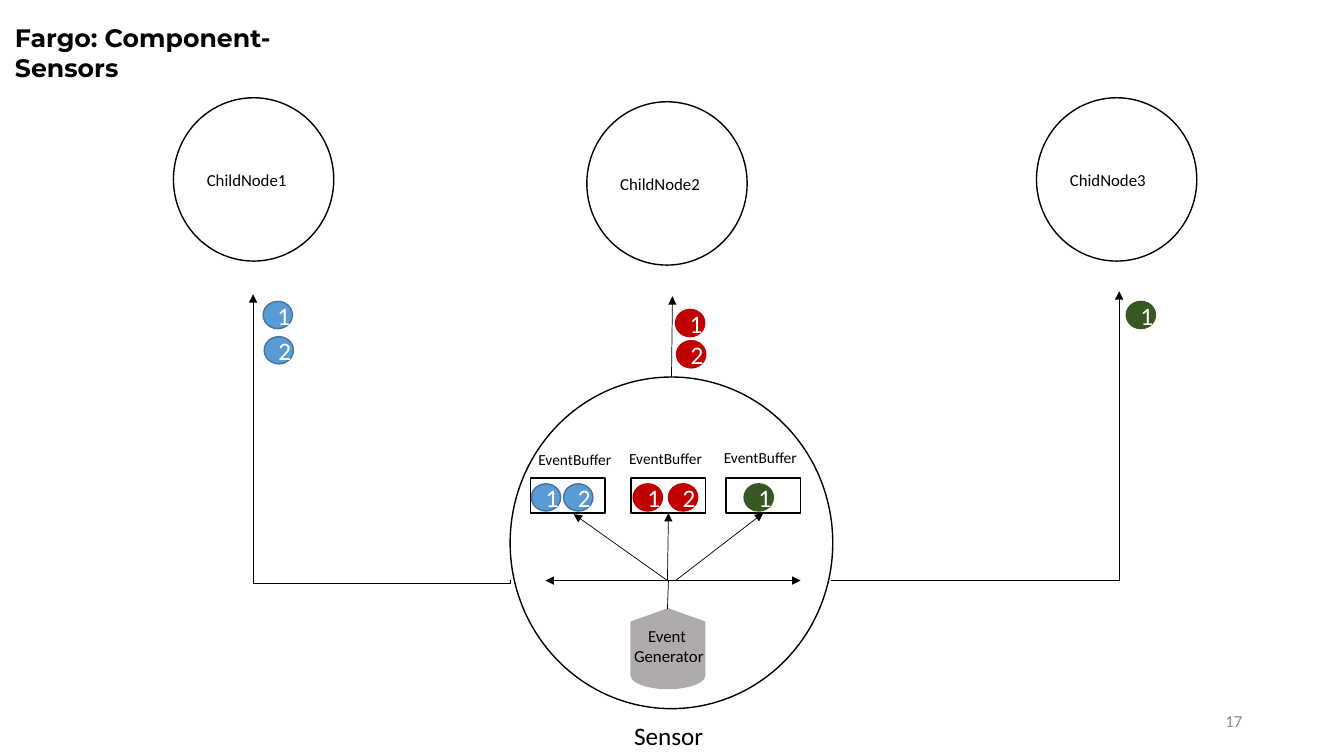
from dataclasses import dataclass
from typing import Optional

from lxml.etree import SubElement
from pptx import Presentation
from pptx.dml.color import RGBColor
from pptx.enum.shapes import MSO_CONNECTOR, MSO_SHAPE
from pptx.enum.text import MSO_ANCHOR, PP_ALIGN
from pptx.oxml.ns import qn
from pptx.util import Inches, Pt

BLACK = RGBColor(0x00, 0x00, 0x00)
WHITE = RGBColor(0xFF, 0xFF, 0xFF)
GRAY = RGBColor(0xAF, 0xAB, 0xAB)
NUMBER_GRAY = RGBColor(0x8C, 0x8C, 0x8C)
BLUE = RGBColor(0x5B, 0x9B, 0xD5)
DARK_BLUE = RGBColor(0x43, 0x73, 0x9E)
RED = RGBColor(0xC0, 0x00, 0x00)
GREEN = RGBColor(0x38, 0x57, 0x23)


@dataclass(frozen=True)
class Box:
    left: float
    top: float
    width: float
    height: float

    def lengths(self):
        return [Inches(value) for value in (self.left, self.top, self.width, self.height)]


@dataclass(frozen=True)
class Label:
    text: str
    box: Box
    size: int
    color: RGBColor = BLACK
    font: str = "Calibri"
    bold: bool = False
    wrap: bool = False
    align: PP_ALIGN = PP_ALIGN.LEFT
    anchor: MSO_ANCHOR = MSO_ANCHOR.TOP
    indent: float = 0


@dataclass(frozen=True)
class Event:
    number: int
    left: float
    top: float
    fill: RGBColor
    line: RGBColor


@dataclass(frozen=True)
class Arrow:
    start: tuple
    end: tuple
    tail: bool = True
    head: bool = False
    source: Optional[str] = None
    target: Optional[str] = None
    preset: Optional[str] = None
    rotation: int = 0
    bend: Optional[int] = None


BUFFERS = {f"buffer{number}": Box(left, 4.74, 0.74, 0.35)
           for number, left in enumerate((5.26, 6.26, 7.2), 1)}

CHILD_NODES = (("ChildNode1", 1.72, 0.97), ("ChildNode2", 5.82, 1.01), ("ChidNode3", 10.28, 0.97))

LABELS = [
    Label("Event Generator", Box(6.19, 6.16, 1.23, 0.5), 12, wrap=True, indent=0.14),
    Label("17", Box(9.42, 6.95, 3, 0.4), 12, NUMBER_GRAY, wrap=True,
          align=PP_ALIGN.RIGHT, anchor=MSO_ANCHOR.MIDDLE),
    Label("Fargo: Component- Sensors", Box(0.05, 0.17, 3.23, 1.01), 18,
          font="Montserrat", bold=True, wrap=True),
    Label("Sensor", Box(6.19, 7.1, 0.95, 0.4), 18),
] + [Label("EventBuffer", Box(left, top, 0.95, 0.29), 11)
     for left, top in ((5.24, 4.42), (6.14, 4.41), (7.08, 4.4))]

ARROWS = (
    Arrow((6.62, 6.04), (6.63, 5.76), tail=False),
    Arrow((5.41, 5.76), (7.94, 5.76), head=True),
    Arrow((6.62, 5.76), (5.69, 5.1)),
    Arrow((6.62, 5.76), (6.62, 5.1), target="buffer2"),
    Arrow((6.7, 5.76), (7.55, 5.1), target="buffer3"),
    Arrow((6.66, 3.74), (6.67, 2.94), source="sensor"),
    Arrow((2.37, 5.61), (5.2, 3.06), preset="bentConnector3", rotation=270, bend=-1200),
    Arrow((8.24, 5.76), (11.1, 2.89), preset="bentConnector2"),
)

EVENTS = (
    Event(1, 5.27, 4.8, BLUE, DARK_BLUE),
    Event(2, 5.59, 4.8, BLUE, DARK_BLUE),
    Event(1, 6.28, 4.8, RED, RED),
    Event(2, 6.63, 4.8, RED, RED),
    Event(1, 7.38, 4.8, GREEN, GREEN),
    Event(1, 2.61, 2.99, BLUE, DARK_BLUE),
    Event(2, 2.62, 3.34, BLUE, DARK_BLUE),
    Event(1, 6.7, 3.07, RED, RED),
    Event(2, 6.71, 3.38, RED, RED),
    Event(1, 11.17, 2.99, GREEN, GREEN),
)


def write_text(shape, text: str, size: int, color: RGBColor, align: PP_ALIGN,
               anchor: MSO_ANCHOR, font: str = "Calibri", bold: bool = False):
    shape.text_frame.vertical_anchor = anchor
    paragraph = shape.text_frame.paragraphs[0]
    paragraph.alignment = align
    run = paragraph.add_run()
    run.text = text
    run.font.name = font
    run.font.size = Pt(size)
    run.font.bold = bold
    run.font.color.rgb = color
    return paragraph


def add_outline(slide, kind: MSO_SHAPE, box: Box, fill: RGBColor = WHITE, line: RGBColor = BLACK):
    shape = slide.shapes.add_shape(kind, *box.lengths())
    shape.shadow.inherit = False
    shape.fill.solid()
    shape.fill.fore_color.rgb = fill
    shape.line.color.rgb = line
    shape.line.width = Pt(1)
    return shape


def add_label(slide, label: Label) -> None:
    shape = slide.shapes.add_textbox(*label.box.lengths())
    shape.text_frame.word_wrap = label.wrap
    paragraph = write_text(shape, label.text, label.size, label.color, label.align,
                           label.anchor, label.font, label.bold)
    if label.indent:
        properties = paragraph._p.get_or_add_pPr()
        properties.set("marL", "0")
        properties.set("indent", str(Inches(label.indent)))


def add_event(slide, event: Event) -> None:
    shape = add_outline(slide, MSO_SHAPE.OVAL, Box(event.left, event.top, 0.29, 0.27),
                        event.fill, event.line)
    write_text(shape, str(event.number), 18, WHITE, PP_ALIGN.CENTER, MSO_ANCHOR.MIDDLE)


def add_arrow(slide, arrow: Arrow, anchors: dict) -> None:
    kind = MSO_CONNECTOR.ELBOW if arrow.preset else MSO_CONNECTOR.STRAIGHT
    points = [Inches(value) for value in arrow.start + arrow.end]
    connector = slide.shapes.add_connector(kind, *points)
    connector.line.color.rgb = BLACK
    connector.line.width = Pt(0.5)
    if arrow.source:
        connector.begin_connect(anchors[arrow.source], 0)
    if arrow.target:
        connector.end_connect(anchors[arrow.target], 2)
    properties = connector._element.spPr
    line = properties.find(qn("a:ln"))
    for shown, tag in ((arrow.head, "a:headEnd"), (arrow.tail, "a:tailEnd")):
        if shown:
            SubElement(line, qn(tag)).set("type", "triangle")
    SubElement(properties, qn("a:effectLst"))
    if arrow.preset:
        geometry = properties.find(qn("a:prstGeom"))
        geometry.set("prst", arrow.preset)
        if arrow.rotation:
            properties.find(qn("a:xfrm")).set("rot", str(arrow.rotation * 60000))
        if arrow.bend is not None:
            guide = SubElement(geometry.find(qn("a:avLst")), qn("a:gd"))
            guide.set("name", "adj1")
            guide.set("fmla", f"val {arrow.bend}")


def main() -> None:
    presentation = Presentation()
    presentation.slide_width = Inches(13.33)
    presentation.slide_height = Inches(7.5)
    slide = presentation.slides.add_slide(presentation.slide_layouts[6])

    anchors = {"sensor": add_outline(slide, MSO_SHAPE.OVAL, Box(5.06, 3.74, 3.2, 3.29))}
    generator = add_outline(slide, MSO_SHAPE.FLOWCHART_DISPLAY, Box(6.23, 6.07, 0.79, 0.73), GRAY, GRAY)
    generator.rotation = 90
    for name, box in BUFFERS.items():
        anchors[name] = add_outline(slide, MSO_SHAPE.RECTANGLE, box)
    for name, left, top in CHILD_NODES:
        node = add_outline(slide, MSO_SHAPE.OVAL, Box(left, top, 1.59, 1.62))
        write_text(node, name, 12, BLACK, PP_ALIGN.LEFT, MSO_ANCHOR.MIDDLE)
    for arrow in ARROWS:
        add_arrow(slide, arrow, anchors)
    for label in LABELS:
        add_label(slide, label)
    for event in EVENTS:
        add_event(slide, event)
    presentation.save("out.pptx")


if __name__ == "__main__":
    main()
